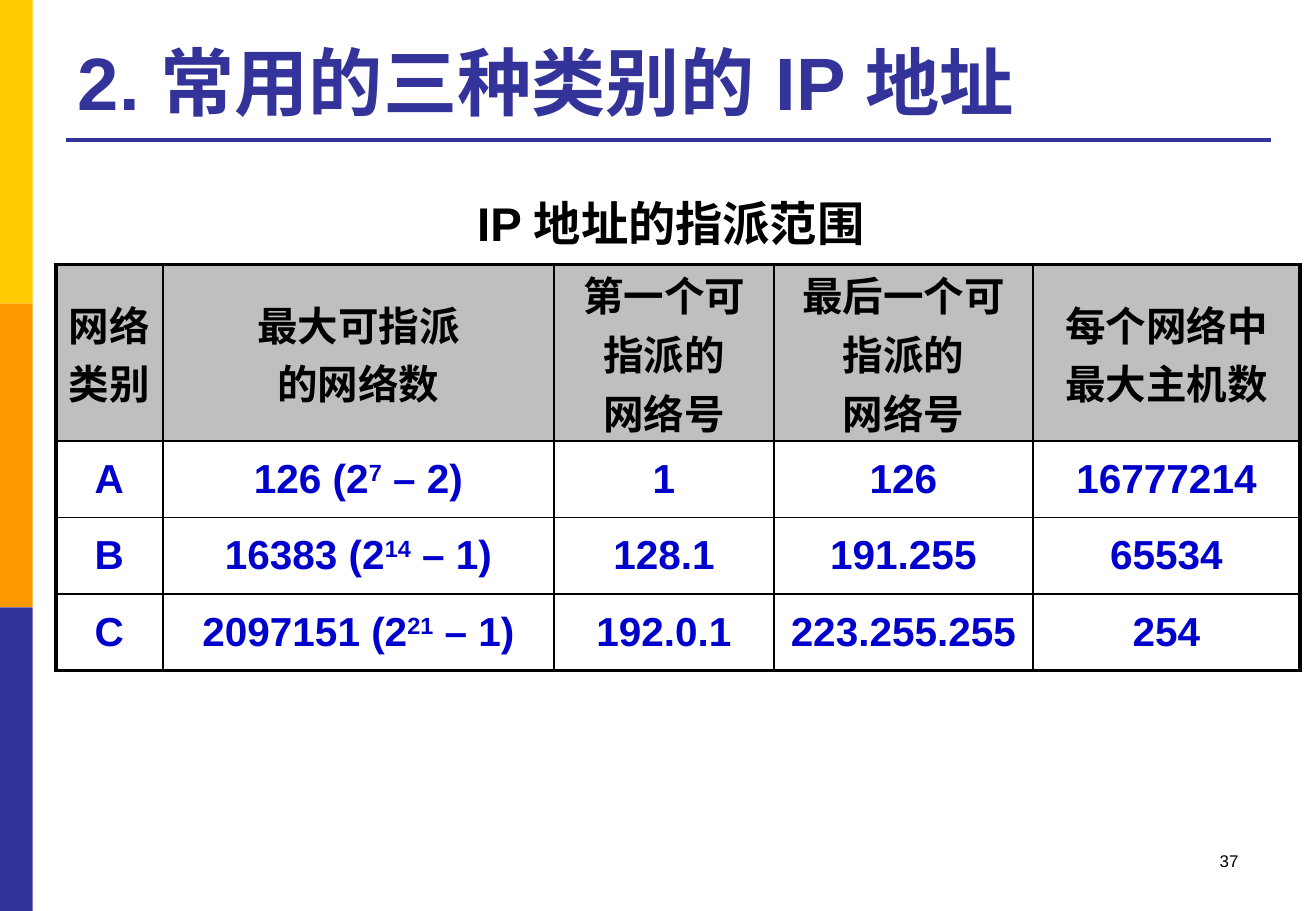
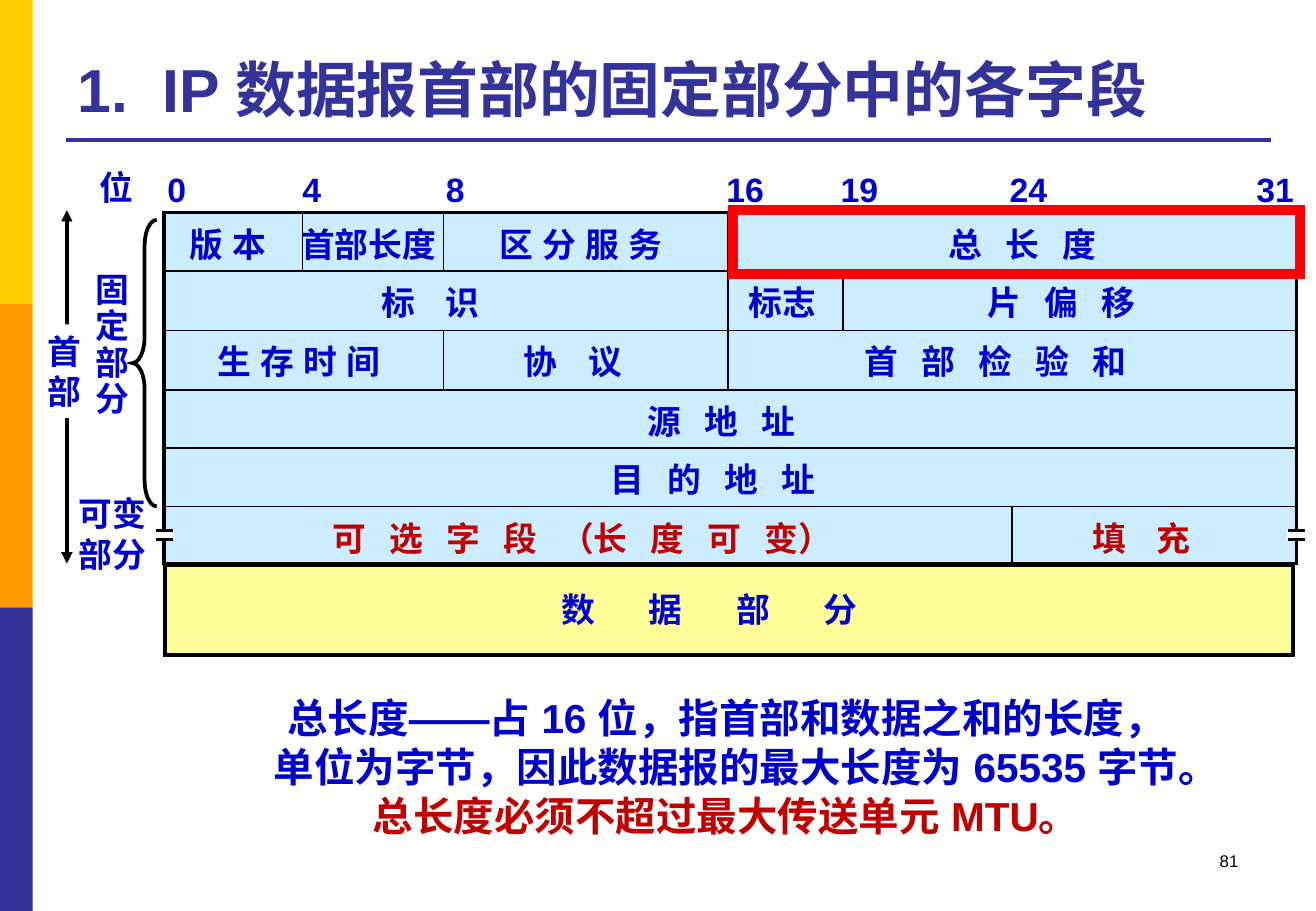
from dataclasses import dataclass

from lxml import etree
from pptx import Presentation
from pptx.dml.color import RGBColor
from pptx.enum.lang import MSO_LANGUAGE_ID as Lang
from pptx.enum.shapes import MSO_CONNECTOR as Conn, MSO_SHAPE as Shape
from pptx.enum.text import MSO_ANCHOR as Anchor, MSO_AUTO_SIZE as AutoSize, PP_ALIGN as Align
from pptx.oxml.ns import qn
from pptx.util import Inches, Pt


@dataclass(frozen=True)
class Theme:
    font: str = "Arial"
    indigo: str = "333399"
    yellow: str = "FFCC00"
    orange: str = "FF9900"
    blue: str = "0000CC"
    crimson: str = "C00000"
    red: str = "FF0000"
    black: str = "000000"
    white: str = "FFFFFF"
    gray: str = "BFBFBF"
    sky: str = "CCECFF"
    cream: str = "FFFF99"
    title: float = 44
    long_title: float = 36
    caption: float = 28
    body: float = 24
    label: float = 20
    number: float = 10
    gap: float = 4.55
    space: float = 5.56
    thin: float = 1
    medium: float = 2
    thick: float = 2.25
    frame: float = 6


T = Theme()


def rgb(value):
    return RGBColor.from_string(value)


def inches(*values):
    return [Inches(round(v, 2)) for v in values]


def write(tf, paragraphs, size, color, align=Align.LEFT, line=None, east=True):
    for i, runs in enumerate(paragraphs):
        p = tf.paragraphs[0] if i == 0 else tf.add_paragraph()
        p.alignment = align
        if line:
            p.line_spacing = line
        for run in [runs] if isinstance(runs, str) else runs:
            text, extra = (run, {}) if isinstance(run, str) else run
            r = p.add_run()
            r.text = text
            style = {"size": Pt(size), "bold": size != T.number, "name": T.font,
                     "language_id": Lang.SIMPLIFIED_CHINESE}
            for key, value in style.items():
                setattr(r.font, key, value)
            r.font.color.rgb = rgb(extra.get("color", color))
            rPr = r._r.get_or_add_rPr()
            for key in ("baseline", "spc"):
                if key in extra:
                    rPr.set(key, str(round(extra[key])))
            if east:
                etree.SubElement(rPr, qn("a:ea")).set("typeface", T.font)


def add_text(s, box, paragraphs, size=T.label, color=T.blue, **options):
    tf = s.shapes.add_textbox(*inches(*box)).text_frame
    tf.word_wrap = True
    write(tf, paragraphs, size, color, **options)


def add_box(s, box, fill=None, line=None, width=T.thin, kind=Shape.RECTANGLE):
    sp = s.shapes.add_shape(kind, *inches(*box))
    sp.shadow.inherit = False
    if fill:
        sp.fill.solid()
        sp.fill.fore_color.rgb = rgb(fill)
    else:
        sp.fill.background()
    if line:
        sp.line.color.rgb = rgb(line)
        sp.line.width = Pt(width)
        etree.SubElement(sp.element.spPr.find(qn("a:ln")), qn("a:miter")).set("lim", "800000")
    else:
        sp.line.fill.background()
    return sp


def add_line(s, x1, y1, x2, y2, color=T.black, width=T.thin, arrows=False):
    line = s.shapes.add_connector(Conn.STRAIGHT, *inches(x1, y1, x2, y2))
    line.line.color.rgb = rgb(color)
    line.line.width = Pt(width)
    spPr = line.element.spPr
    if arrows:
        for end in ("a:headEnd", "a:tailEnd"):
            etree.SubElement(spPr.find(qn("a:ln")), qn(end)).set("type", "triangle")
    etree.SubElement(spPr, qn("a:effectLst"))
    return line


def decorate_layout(layout, s):
    parts = [add_box(s, (0, 2.5 * i, 0.27, 2.5), color)
             for i, color in enumerate((T.yellow, T.orange, T.indigo))]
    parts.append(add_line(s, 0.54, 1.15, 10.46, 1.15, T.indigo, T.thick))
    for i, part in enumerate(parts):
        part.element.xpath("./*/p:cNvPr")[0].set("id", str(100 + i))
        layout.shapes.element.append(part.element)


def add_slide(prs, title, size, number):
    s = prs.slides.add_slide(prs.slide_layouts[5])
    sp = s.shapes.title
    sp.left, sp.top, sp.width, sp.height = inches(0.54, 0.21, 9.91, 0.87)
    tf = sp.text_frame
    for key, value in {"word_wrap": True, "auto_size": AutoSize.NONE,
                       "vertical_anchor": Anchor.BOTTOM}.items():
        setattr(tf, key, value)
    write(tf, [title], size, T.indigo)
    add_text(s, (7.76, 6.95, 2.53, 0.5), [str(number)], T.number, T.black, align=Align.RIGHT)
    return s


def set_borders(cell, outer):
    tcPr = cell._tc.get_or_add_tcPr()
    for i, side in enumerate("LRTB"):
        ln = etree.Element(qn(f"a:ln{side}"))
        ln.set("w", str(Pt(T.thick if side in outer else T.thin)))
        fill = etree.SubElement(ln, qn("a:solidFill"))
        etree.SubElement(fill, qn("a:srgbClr")).set("val", T.black)
        tcPr.insert(i, ln)


def address_table(s, x, y):
    def count(total, power, less):
        return [[f"{total} (2", (power, {"baseline": 30000}), f" – {less})"]]

    rows = [
        [["网络", "类别"], ["最大可指派", "的网络数"], ["第一个可指派的", "网络号"],
         ["最后一个可指派的", "网络号"], ["每个网络中", "最大主机数"]],
        [["A"], count(126, "7", 2), ["1"], ["126"], ["16777214"]],
        [["B"], count(16383, "14", 1), ["128.1"], ["191.255"], ["65534"]],
        [["C"], count(2097151, "21", 1), ["192.0.1"], ["223.255.255"], ["254"]],
    ]
    widths, heights = (0.88, 3.22, 1.81, 2.13, 2.2), (1.45, 0.63, 0.63, 0.63)
    table = s.shapes.add_table(len(rows), len(widths),
                               *inches(x, y, sum(widths), sum(heights))).table
    table.first_row = table.horz_banding = False
    for column, width in zip(table.columns, widths):
        column.width = Inches(width)
    for row, height in zip(table.rows, heights):
        row.height = Inches(height)
    for i, row in enumerate(rows):
        for j, paragraphs in enumerate(row):
            cell = table.cell(i, j)
            for key, value in {"margin_left": Inches(0.09), "margin_right": Inches(0.09),
                               "margin_top": 0, "margin_bottom": 0,
                               "vertical_anchor": Anchor.MIDDLE}.items():
                setattr(cell, key, value)
            if i == 0:
                cell.fill.solid()
                cell.fill.fore_color.rgb = rgb(T.gray)
            else:
                cell.fill.background()
            write(cell.text_frame, paragraphs, T.body, T.black if i == 0 else T.blue,
                  Align.CENTER, east=False)
            edges = {"L": j == 0, "R": j == len(row) - 1, "T": i == 0, "B": i == len(rows) - 1}
            set_borders(cell, [side for side, outer in edges.items() if outer])


def spaced(text, gaps):
    gap = (" ", {"spc": 100 * (T.gap * gaps - T.space)})
    first, *rest = text.split(" ")
    return [[first] + [run for word in rest for run in (gap, word)]]


def datagram(s, x, y, w):
    pitch = 0.485
    add_box(s, (x, y, w, 2.89), T.sky, T.black, T.medium)
    add_box(s, (x + 0.01, y + 2.9, w - 0.04, 0.74), T.cream, T.black, T.thick)
    for row in range(1, 6):
        add_line(s, x, y + row * pitch, x + w, y + row * pitch)
    for dx, first, last in ((1.14, 0, 1), (2.3, 0, 1), (2.3, 2, 3),
                            (4.64, 0, 3), (5.59, 1, 2), (6.98, 5, 6)):
        add_line(s, x + dx, y + first * pitch, x + dx, y + last * pitch)
    for bit, dx in ((0, -0.07), (4, 1.04), (8, 2.22), (16, 4.53),
                    (19, 5.47), (24, 6.86), (31, 8.89)):
        add_text(s, (x + dx, y - 0.41, 0.58, 0.43), [str(bit)])
    fields = (
        ("版 本", 1, 0.11, 0), ("首部长度", 0, 1.03, 0), ("区 分 服 务", 1, 2.66, 0),
        ("总 长 度", 3, 6.36, 0), ("标 识", 4, 1.69, 1), ("标志", 0, 4.71, 1),
        ("片 偏 移", 3, 6.68, 1), ("生 存 时 间", 1, 0.34, 2), ("协 议", 4, 2.86, 2),
        ("首 部 检 验 和", 3, 5.67, 2), ("源 地 址", 3, 3.88, 3), ("目 的 地 址", 3, 3.58, 4),
        ("可 选 字 段 （长 度 可 变）", 3, 1.29, 5), ("填 充", 4, 7.54, 5),
    )
    for text, gaps, dx, row in fields:
        add_text(s, (x + dx, y + row * pitch + 0.04, 0.6 + 0.3 * len(text), 0.43),
                 spaced(text, gaps), color=T.crimson if row == 5 else T.blue)
    add_text(s, (x + 3.17, y + 3.05, 3.45, 0.43), spaced("数 据 部 分", 7))
    for dx in (-0.08, w - 0.08):
        add_box(s, (x + dx, y + 2.61, 0.16, 0.08), T.white)
        for dy in (2.62, 2.69):
            add_line(s, x + dx + 0.01, y + dy, x + dx + 0.15, y + dy, width=T.medium)
    add_box(s, (x + 4.68, y - 0.02, w - 4.65, 0.53), line=T.red, width=T.frame)


def header_brackets(s, x, y):
    add_text(s, (x + 0.43, y - 0.43, 0.6, 0.43), ["位"])
    add_line(s, x + 0.26, y - 0.02, x + 0.26, y + 2.89, width=T.thick, arrows=True)
    add_box(s, (x, y + 0.92, 0.48, 0.77), T.white)
    add_text(s, (x, y + 0.92, 0.5, 0.77), ["首", "部"])
    add_text(s, (x + 0.4, y + 0.45, 0.5, 1.31), list("固定部分"), line=0.9)
    add_text(s, (x + 0.26, y + 2.26, 0.82, 0.77), ["可变", "部分"])
    brace = add_box(s, (x + 0.8, y + 0.06, 0.2, 2.36), line=T.black, width=T.thick,
                    kind=Shape.LEFT_BRACE)
    brace.adjustments[0] = 1.08


def main():
    prs = Presentation()
    prs.slide_width, prs.slide_height = inches(10.83, 7.5)

    s = add_slide(prs, "2. 常用的三种类别的 IP 地址", T.title, 37)
    decorate_layout(s.slide_layout, s)
    add_text(s, (3.4, 1.55, 4.24, 0.57), ["IP 地址的指派范围"], T.caption, T.black,
             align=Align.CENTER)
    address_table(s, 0.46, 2.18)

    s = add_slide(prs, ["1.", (" ", {"spc": 1000}), "IP 数据报首部的固定部分中的各字段"],
                  T.long_title, 81)
    header_brackets(s, 0.29, 1.75)
    datagram(s, 1.35, 1.75, 9.32)
    add_text(s, (2.15, 5.66, 7.65, 1.7),
             ["总长度——占 16 位，指首部和数据之和的长度，",
              "单位为字节，因此数据报的最大长度为 65535 字节。",
              [("总长度必须不超过最大传送单元 MTU。", {"color": T.crimson})]],
             T.body, align=Align.CENTER)
    prs.save("out.pptx")


if __name__ == "__main__":
    main()
